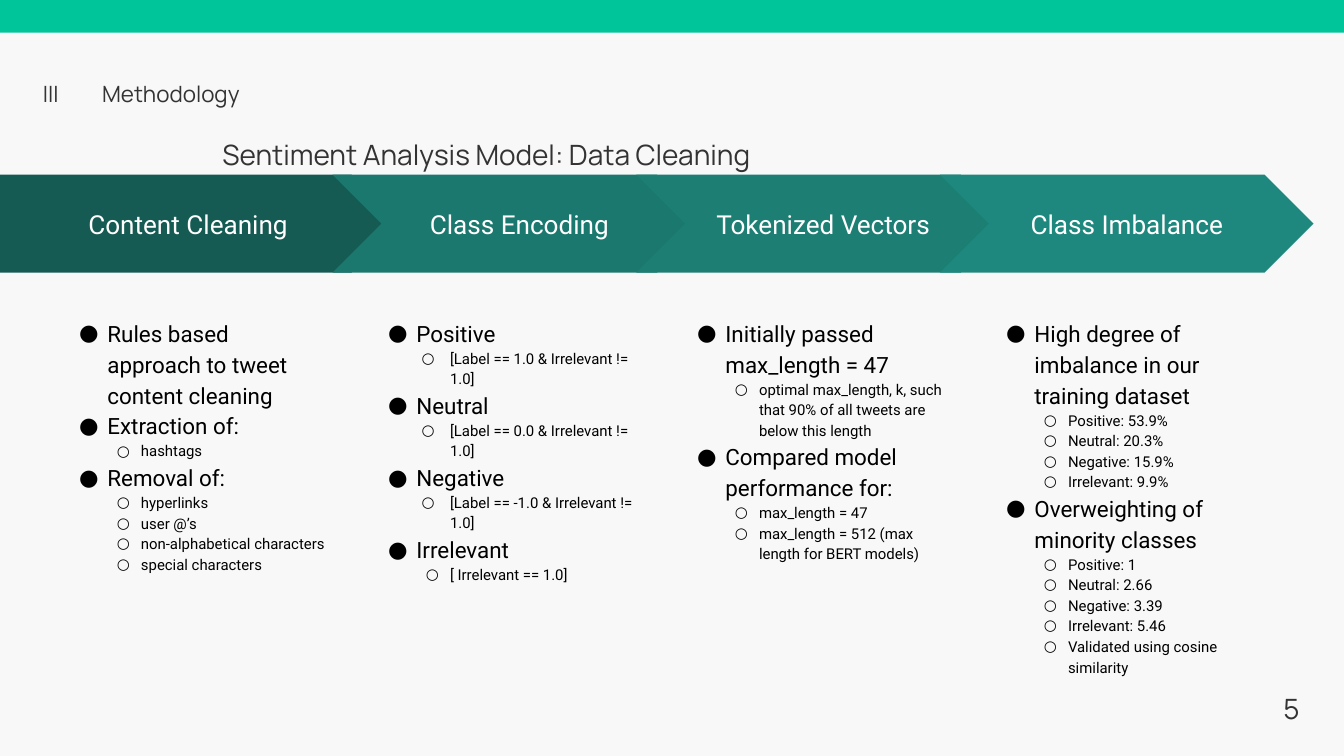
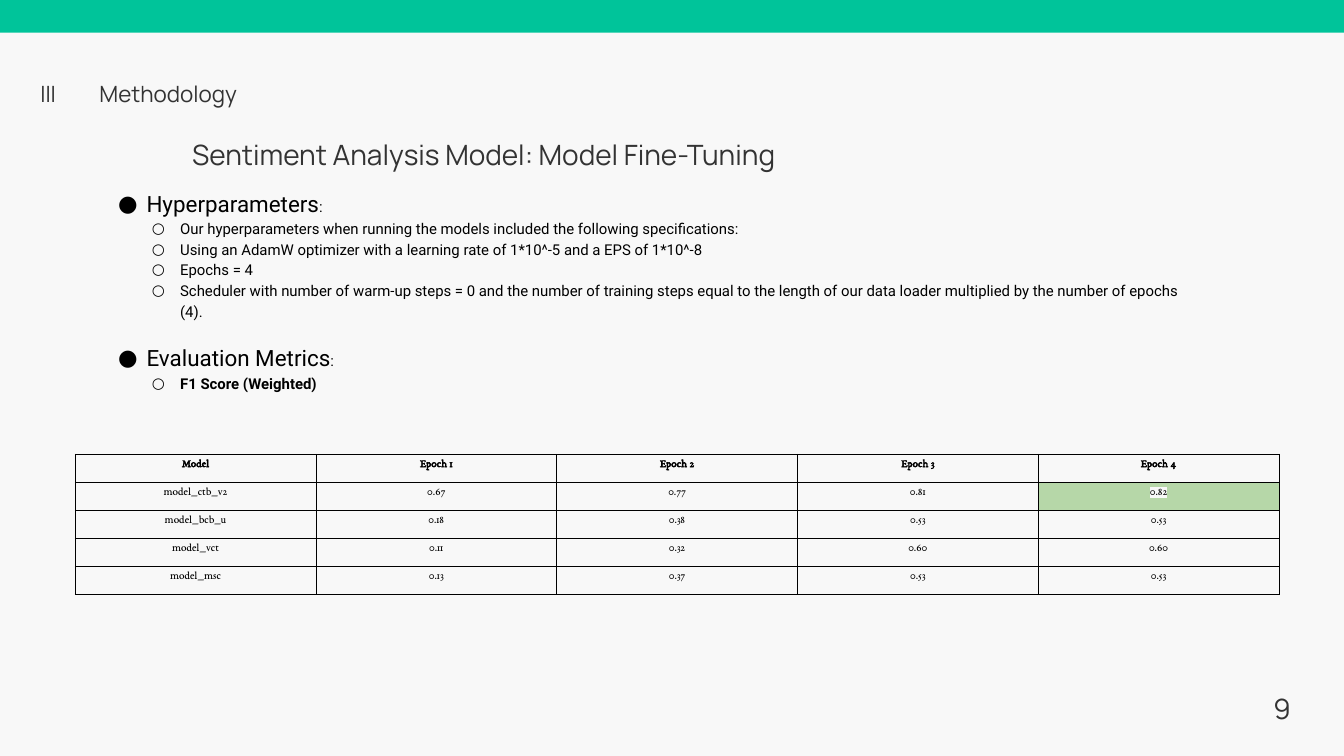
from dataclasses import dataclass

from lxml.etree import SubElement
from pptx import Presentation
from pptx.dml.color import RGBColor
from pptx.enum.shapes import MSO_SHAPE
from pptx.enum.text import MSO_ANCHOR, MSO_AUTO_SIZE, PP_ALIGN
from pptx.oxml import parse_xml
from pptx.oxml.ns import nsdecls, qn
from pptx.util import Cm, Pt

# Colours and fonts
PAPER = RGBColor(0xF8, 0xF8, 0xF8)
MINT = RGBColor(0x00, 0xC4, 0x9A)
INK = RGBColor(0x33, 0x33, 0x33)
BLACK = RGBColor(0, 0, 0)
WHITE = RGBColor(0xFF, 0xFF, 0xFF)
BEST = RGBColor(0xB6, 0xD7, 0xA8)
HEAD, BODY, GRID = "Manrope", "Roboto", "EB Garamond"
WIDTH, HEIGHT = 50.8, 28.58


@dataclass
class Item:
    """One bullet; sub-points are level 1."""
    text: str
    level: int = 0
    hang: float = 0.91
    tail: str = ""
    bold: bool = False
    gap: float = 0


@dataclass
class Step:
    """One arrow with the list below it."""
    name: str
    color: RGBColor
    items: list[Item]


@dataclass
class Label:
    """One line of the slide frame, sizes in cm."""
    text: str
    left: float
    top: float
    width: float
    height: float
    size: int
    align: PP_ALIGN
    space: float


def sub(text: str, hang: float = 0.91) -> Item:
    return Item(text, 1, hang)


STEPS = [
    Step("Content Cleaning", RGBColor(0x15, 0x5B, 0x54), [
        Item("Rules based approach to tweet content cleaning"),
        Item("Extraction of:"),
        sub("hashtags"),
        Item("Removal of:"),
        sub("hyperlinks"),
        sub("user @’s"),
        sub("non-alphabetical characters"),
        sub("special characters"),
    ]),
    Step("Class Encoding", RGBColor(0x1B, 0x78, 0x6E), [
        Item("Positive"),
        sub("[Label == 1.0 & Irrelevant != 1.0]", 1.07),
        Item("Neutral"),
        sub("[Label == 0.0 & Irrelevant != 1.0]", 1.07),
        Item("Negative"),
        sub("[Label == -1.0 & Irrelevant != 1.0]", 1.07),
        Item("Irrelevant"),
        sub("[ Irrelevant == 1.0]"),
    ]),
    Step("Tokenized Vectors", RGBColor(0x1D, 0x7E, 0x74), [
        Item("Initially passed max_length = 47"),
        sub("optimal max_length, k, such that 90% of all tweets are "
            "below this length"),
        Item("Compared model performance for:"),
        sub("max_length = 47"),
        sub("max_length = 512 (max length for BERT models)"),
    ]),
    Step("Class Imbalance", RGBColor(0x1F, 0x88, 0x7E), [
        Item("High degree of imbalance in our training dataset"),
        sub("Positive: 53.9%"),
        sub("Neutral: 20.3%"),
        sub("Negative: 15.9%"),
        sub("Irrelevant: 9.9%"),
        Item("Overweighting of minority classes"),
        sub("Positive: 1"),
        sub("Neutral: 2.66"),
        sub("Negative: 3.39"),
        sub("Irrelevant: 5.46"),
        sub("Validated using cosine similarity"),
    ]),
]

TUNING = [
    Item("Hyperparameters", tail=":"),
    sub("Our hyperparameters when running the models included the "
        "following specifications:", 1.07),
    sub("Using an AdamW optimizer with a learning rate of 1*10^-5 "
        "and a EPS of 1*10^-8", 1.07),
    sub("Epochs = 4", 1.07),
    sub("Scheduler with number of warm-up steps = 0 and the number of "
        "training steps equal to the length of our data loader multiplied "
        "by the number of epochs (4).", 1.07),
    Item("Evaluation Metrics", tail=":", gap=22),
    Item("F1 Score (Weighted)", 1, 1.07, bold=True),
]

SCORES = [
    ["Model", "Epoch 1", "Epoch 2", "Epoch 3", "Epoch 4"],
    ["model_ctb_v2", "0.67", "0.77", "0.81", "0.82"],
    ["model_bcb_u", "0.18", "0.38", "0.53", "0.53"],
    ["model_vct", "0.11", "0.32", "0.60", "0.60"],
    ["model_msc", "0.13", "0.37", "0.53", "0.53"],
]
TOP = "0.82"


# Text helpers
def write(para, text: str, font: str, size: float, color: RGBColor,
          bold: bool = False):
    run = para.add_run()
    run.text = text
    run.font.name = font
    run.font.size = Pt(size)
    run.font.bold = bold
    run.font.color.rgb = color
    return run


def pad(frame, inset: float) -> None:
    frame.word_wrap = True
    frame.margin_left = frame.margin_right = Cm(inset)
    frame.margin_top = frame.margin_bottom = Cm(inset)


def add_box(slide, left: float, top: float, width: float, height: float,
            inset: float):
    box = slide.shapes.add_textbox(Cm(left), Cm(top), Cm(width), Cm(height))
    pad(box.text_frame, inset)
    return box.text_frame


def add_label(slide, label: Label) -> None:
    frame = add_box(slide, label.left, label.top, label.width,
                    label.height, 0)
    frame.auto_size = MSO_AUTO_SIZE.SHAPE_TO_FIT_TEXT
    para = frame.paragraphs[0]
    para.alignment = label.align
    para.line_spacing = label.space
    write(para, label.text, HEAD, label.size, INK)


def mark(para, item: Item) -> None:
    """Give a paragraph its bullet and hanging indent."""
    props = para._p.get_or_add_pPr()
    hang = item.hang if item.level else 1.07
    props.set("marL", str(Cm(1.27 * (item.level + 1))))
    props.set("indent", str(-Cm(hang)))
    tint = SubElement(props, qn("a:buClr"))
    SubElement(tint, qn("a:srgbClr"), val=str(BLACK))
    SubElement(props, qn("a:buFont"), typeface=BODY)
    SubElement(props, qn("a:buChar"), char="●○"[item.level])


def add_list(slide, left: float, top: float, width: float,
             items: list[Item]) -> None:
    frame = add_box(slide, left, top, width, 14.53, 0.51)
    for i, item in enumerate(items):
        para = frame.add_paragraph() if i else frame.paragraphs[0]
        para.level = item.level
        mark(para, item)
        para.line_spacing = 1.15
        if item.gap:
            para.space_before = Pt(item.gap)
        write(para, item.text, BODY, (24, 16)[item.level], BLACK, item.bold)
        if item.tail:
            write(para, item.tail, BODY, 16, BLACK)


# Shared slide frame
def add_shape(slide, kind: MSO_SHAPE, left: float, top: float, width: float,
              height: float, color: RGBColor):
    shape = slide.shapes.add_shape(kind, Cm(left), Cm(top), Cm(width),
                                   Cm(height))
    shape.shadow.inherit = False
    shape.fill.solid()
    shape.fill.fore_color.rgb = color
    shape.line.fill.background()
    return shape


def add_page(deck, title: str, number: str, shift: float = 0,
             edge: float = 47.22):
    slide = deck.slides.add_slide(deck.slide_layouts[6])
    add_shape(slide, MSO_SHAPE.RECTANGLE, 0, 0, WIDTH, 1.24, MINT)
    mid, left, right = PP_ALIGN.CENTER, PP_ALIGN.LEFT, PP_ALIGN.RIGHT
    for label in (
        Label(title, 1.17 + shift, 4.42, 34.44, 1.27, 30, mid, 1.6),
        Label(number, edge, 25.37, 1.9, 1.27, 30, right, 1.6),
        Label("Methodology", 3.86 + shift, 2.84, 29.41, 1.02, 24, left, 1.2),
        Label("III", 1.17 + shift, 2.84, 1.5, 1.02, 24, mid, 1.2),
    ):
        add_label(slide, label)
    return slide


# Arrow chain
def add_step(slide, i: int, step: Step) -> None:
    if i:
        kind, left, width = MSO_SHAPE.CHEVRON, 12.57 + 11.48 * (i - 1), 14.12
    else:
        kind, left, width = MSO_SHAPE.PENTAGON, 0, 15.14
    arrow = add_shape(slide, kind, left, 6.6, width, 3.71, step.color)
    arrow.adjustments[0] = 0.5
    frame = arrow.text_frame
    pad(frame, 0.51)
    frame.vertical_anchor = MSO_ANCHOR.MIDDLE
    para = frame.paragraphs[0]
    para.alignment = PP_ALIGN.CENTER
    write(para, step.name, BODY, 28, WHITE)
    add_list(slide, 2.28 + 11.68 * i, 11.43, 10.59, step.items)


# Score table
def add_lines(cell) -> None:
    props = cell._tc.get_or_add_tcPr()
    for side in ("lnL", "lnR", "lnT", "lnB"):
        props.append(parse_xml(
            f'<a:{side} {nsdecls("a")} w="{Pt(0.75)}"><a:solidFill>'
            f'<a:srgbClr val="{BLACK}"/></a:solidFill></a:{side}>'))


def add_glow(run, color: RGBColor) -> None:
    fill = run._r.get_or_add_rPr().find(qn("a:solidFill"))
    fill.addnext(parse_xml(
        f'<a:highlight {nsdecls("a")}><a:srgbClr val="{color}"/>'
        '</a:highlight>'))


def add_scores(slide) -> None:
    rows, cols = len(SCORES), len(SCORES[0])
    table = slide.shapes.add_table(rows, cols, Cm(2.84), Cm(17.17),
                                   Cm(9.1 * cols), Cm(1.06 * rows)).table
    table.first_row = table.horz_banding = False
    for r, row in enumerate(SCORES):
        for c, text in enumerate(row):
            cell = table.cell(r, c)
            cell.margin_left = cell.margin_right = Cm(0.18)
            cell.margin_top = cell.margin_bottom = Cm(0.18)
            add_lines(cell)
            para = cell.text_frame.paragraphs[0]
            para.alignment = PP_ALIGN.CENTER
            run = write(para, text, GRID, 12, BLACK, r == 0)
            if text == TOP:
                cell.fill.solid()
                cell.fill.fore_color.rgb = BEST
                add_glow(run, PAPER)
            else:
                cell.fill.background()


def main() -> None:
    deck = Presentation()
    deck.slide_width, deck.slide_height = Cm(WIDTH), Cm(HEIGHT)
    back = deck.slide_master.background.fill
    back.solid()
    back.fore_color.rgb = PAPER

    # Data cleaning
    slide = add_page(deck, "Sentiment Analysis Model: Data Cleaning", "5")
    for i, step in enumerate(STEPS):
        add_step(slide, i, step)

    # Model fine-tuning
    slide = add_page(deck, "Sentiment Analysis Model: Model Fine-Tuning",
                     "9", -0.1, 46.89)
    add_list(slide, 3.76, 6.53, 41.33, TUNING)
    add_scores(slide)

    deck.save("out.pptx")


if __name__ == "__main__":
    main()
